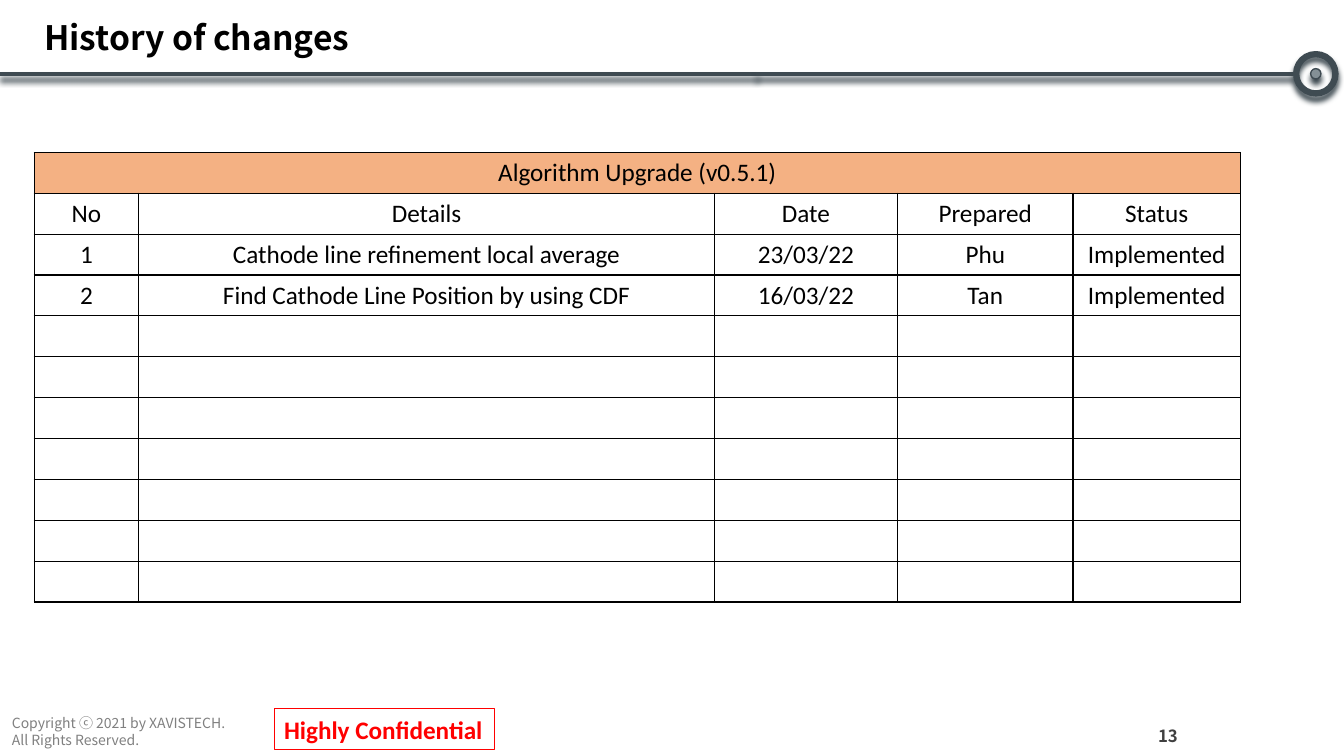
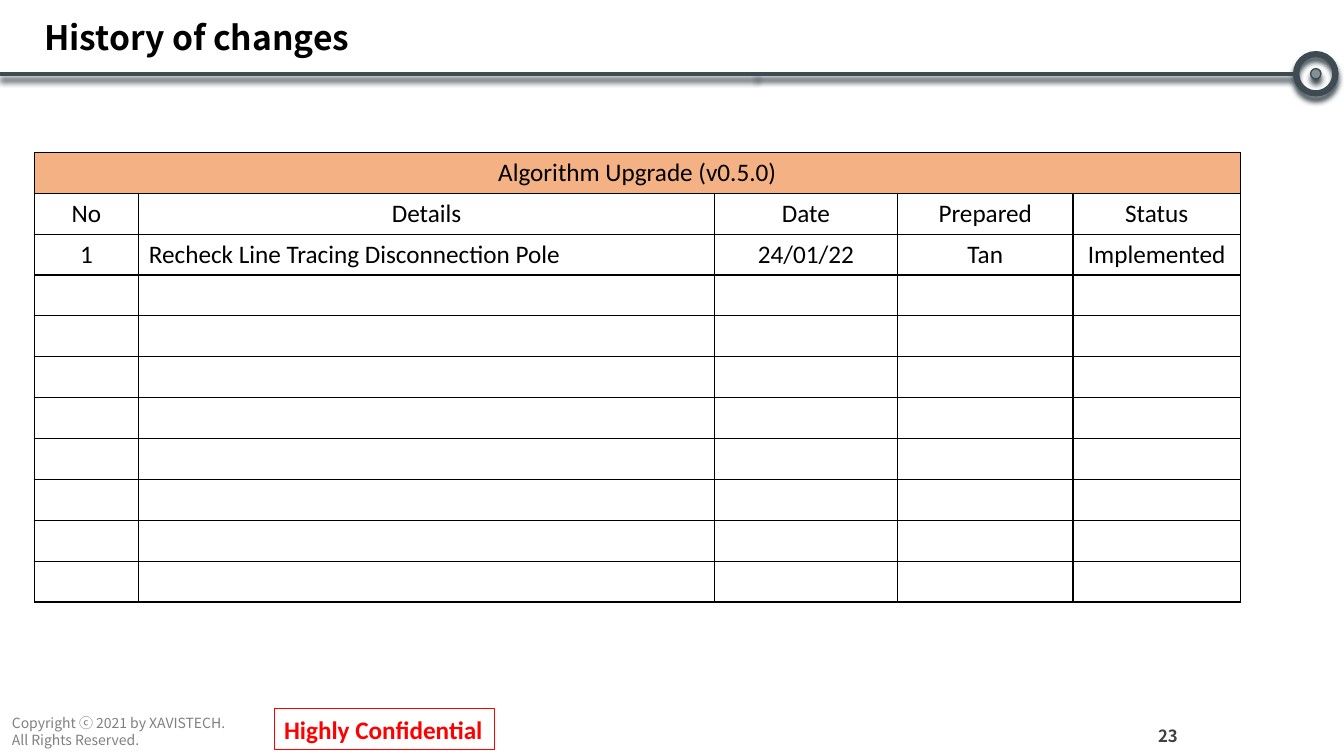
import pptx
import pptx.util
import pptx.dml.color
import pptx.enum.shapes
import pptx.enum.text
import pptx.oxml
import pptx.oxml.ns

Cm, Pt = pptx.util.Cm, pptx.util.Pt
SHAPE = pptx.enum.shapes.MSO_SHAPE
ALIGN = pptx.enum.text.PP_ALIGN
ANCHOR = pptx.enum.text.MSO_ANCHOR

STEEL, STEEL_LIGHT, RED, PEACH = "3F4B52", "849096", "FF0000", "F4B183"
BLACK, GREY, DARK_GREY = "000000", "808080", "404040"
SANS, BODY = "Noto Sans CJK KR", "Calibri"

TITLE_FORMAT = {"name": SANS, "size": Pt(24), "bold": True, "color": BLACK}
COPYRIGHT_FORMAT = {"name": SANS, "size": Pt(10), "bold": False, "color": GREY}
NUMBER_FORMAT = {"name": SANS, "size": Pt(12), "bold": True, "color": DARK_GREY}
STAMP_FORMAT = {"name": BODY, "size": Pt(18), "bold": True, "color": RED}
CELL_FORMAT = {"name": BODY, "size": Pt(18), "bold": False, "color": BLACK}

TITLE_BOX = (0.86, 0.28, 32.13, 1.45)
COPYRIGHT_BOX = (0.05, 17.88, 6.76, 1.12)
STAMP_BOX = (6.91, 17.86, 5.56, 1.02)
NUMBER_BOX = (28.75, 18.19, 1.37, 0.71)
TABLE_BOX = (0.86, 3.84, 30.4, 11.33)

RULE_Y = 1.86
RING_CENTER, RING_SIZE, HUB_SIZE = 33.16, 0.99, 0.26
RULE_SPANS = [(0, 19.1), (19.05, RING_CENTER - RING_SIZE / 2)]

COLUMN_WIDTHS = [2.64, 14.5, 4.62, 4.42, 4.22]
HEADINGS = ["No", "Details", "Date", "Prepared", "Status"]
ROW_COUNT = 11

HISTORY = [
    {
        "number": "13",
        "heading": "Algorithm Upgrade (v0.5.1)",
        "details_align": ALIGN.CENTER,
        "changes": [
            ["1", "Cathode line refinement local average", "23/03/22", "Phu", "Implemented"],
            ["2", "Find Cathode Line Position by using CDF", "16/03/22", "Tan", "Implemented"],
        ],
    },
    {
        "number": "23",
        "heading": "Algorithm Upgrade (v0.5.0)",
        "details_align": ALIGN.LEFT,
        "changes": [
            ["1", "Recheck Line Tracing Disconnection Pole", "24/01/22", "Tan", "Implemented"],
        ],
    },
]


def color(value):
    """Return the colour for a hex string."""
    return pptx.dml.color.RGBColor.from_string(value)


def lengths(box):
    """Return the box's centimetre values as lengths."""
    return [Cm(value) for value in box]


def write(text_frame, lines, text_format, align=ALIGN.LEFT):
    """Write one formatted paragraph for each line."""
    for index, line in enumerate(lines):
        paragraph = text_frame.paragraphs[0] if index == 0 else text_frame.add_paragraph()
        paragraph.alignment = align
        run = paragraph.add_run()
        run.text = line
        for name, value in text_format.items():
            if name == "color":
                run.font.color.rgb = color(value)
            else:
                setattr(run.font, name, value)


def set_line(shape, value, width):
    """Set the colour and width in points of an outline."""
    shape.line.color.rgb = color(value)
    shape.line.width = Pt(width)


def drop_shadow(shape):
    """Give a shape or connector the steel shadow below it."""
    effects = pptx.oxml.parse_xml(
        f'<a:effectLst {pptx.oxml.ns.nsdecls("a")}>'
        f'<a:outerShdw blurRad="{Pt(4)}" dist="{Pt(4)}" dir="5400000" algn="t" rotWithShape="0">'
        f'<a:srgbClr val="{STEEL}"/></a:outerShdw></a:effectLst>'
    )
    shape.element.spPr.append(effects)


def add_rule(slide, start, end):
    """Draw a piece of the header rule."""
    rule = slide.shapes.add_connector(
        pptx.enum.shapes.MSO_CONNECTOR.STRAIGHT, *lengths((start, RULE_Y, end, RULE_Y))
    )
    set_line(rule, STEEL, 3)
    drop_shadow(rule)


def add_circle(slide, size, line_width, fill=None):
    """Draw a circle around the end of the header rule."""
    box = (RING_CENTER - size / 2, RULE_Y - size / 2, size, size)
    circle = slide.shapes.add_shape(SHAPE.OVAL, *lengths(box))
    if fill:
        circle.fill.solid()
        circle.fill.fore_color.rgb = color(fill)
    else:
        circle.fill.background()
    set_line(circle, STEEL, line_width)
    drop_shadow(circle)


def add_header(slide, box):
    """Place the title, the rule and its ring."""
    for start, end in RULE_SPANS:
        add_rule(slide, start, end)
    add_circle(slide, HUB_SIZE, 1, STEEL_LIGHT)
    add_circle(slide, RING_SIZE, 4.5)
    title = slide.shapes.title
    title.left, title.top, title.width, title.height = lengths(box)
    title.text_frame.auto_size = pptx.enum.text.MSO_AUTO_SIZE.NONE
    title.text_frame.vertical_anchor = ANCHOR.MIDDLE
    write(title.text_frame, ["History of changes"], TITLE_FORMAT)
    title.text_frame.paragraphs[0].line_spacing = 0.9


def add_label(slide, box, lines, text_format, align=ALIGN.LEFT, anchor=ANCHOR.TOP):
    """Place a plain text box."""
    label = slide.shapes.add_textbox(*lengths(box))
    label.text_frame.word_wrap = True
    label.text_frame.vertical_anchor = anchor
    write(label.text_frame, lines, text_format, align)


def add_stamp(slide, box):
    """Place the outlined confidentiality mark."""
    stamp = slide.shapes.add_shape(SHAPE.RECTANGLE, *lengths(box))
    stamp.shadow.inherit = False
    stamp.fill.background()
    set_line(stamp, RED, 0.75)
    stamp.text_frame.word_wrap = False
    stamp.text_frame.vertical_anchor = ANCHOR.MIDDLE
    write(stamp.text_frame, ["Highly Confidential"], STAMP_FORMAT)


def add_footer(slide, number):
    """Place the copyright, the mark and the slide number."""
    copyright_lines = ["Copyright ⓒ 2021 by XAVISTECH.", "All Rights Reserved."]
    add_label(slide, COPYRIGHT_BOX, copyright_lines, COPYRIGHT_FORMAT)
    add_stamp(slide, STAMP_BOX)
    add_label(slide, NUMBER_BOX, [number], NUMBER_FORMAT, ALIGN.CENTER, ANCHOR.MIDDLE)


def format_cell(cell, fill=None):
    """Give a cell black borders and its fill."""
    properties = cell._tc.get_or_add_tcPr()
    for side in "LRTB":
        properties.append(pptx.oxml.parse_xml(
            f'<a:ln{side} {pptx.oxml.ns.nsdecls("a")} w="{Pt(1)}">'
            f'<a:solidFill><a:srgbClr val="{BLACK}"/></a:solidFill></a:ln{side}>'
        ))
    if fill:
        cell.fill.solid()
        cell.fill.fore_color.rgb = color(fill)
    else:
        cell.fill.background()


def add_change_table(slide, box, heading, changes, details_align):
    """Place the table of changes under its merged heading."""
    table = slide.shapes.add_table(ROW_COUNT, len(COLUMN_WIDTHS), *lengths(box)).table
    table.first_row = table.horz_banding = False
    for column, width in zip(table.columns, COLUMN_WIDTHS):
        column.width = Cm(width)
    for index, row in enumerate(table.rows):
        row.height = Cm(box[3] / ROW_COUNT)
        for cell in row.cells:
            format_cell(cell, PEACH if index == 0 else None)
    table.cell(0, 0).merge(table.cell(0, len(COLUMN_WIDTHS) - 1))
    write(table.cell(0, 0).text_frame, [heading], CELL_FORMAT, ALIGN.CENTER)
    for row_index, values in enumerate([HEADINGS] + changes, start=1):
        for column_index, value in enumerate(values):
            is_details = row_index > 1 and HEADINGS[column_index] == "Details"
            align = details_align if is_details else ALIGN.CENTER
            write(table.cell(row_index, column_index).text_frame, [value], CELL_FORMAT, align)


def add_history_slide(presentation, number, heading, changes, details_align):
    """Add one slide with a version's changes."""
    slide = presentation.slides.add_slide(presentation.slide_layouts.get_by_name("Title Only"))
    add_header(slide, TITLE_BOX)
    add_change_table(slide, TABLE_BOX, heading, changes, details_align)
    add_footer(slide, number)


def main():
    """Build and save the presentation."""
    presentation = pptx.Presentation()
    presentation.slide_width, presentation.slide_height = Cm(33.87), Cm(19.05)
    for version in HISTORY:
        add_history_slide(presentation, **version)
    presentation.save("out.pptx")


if __name__ == "__main__":
    main()
